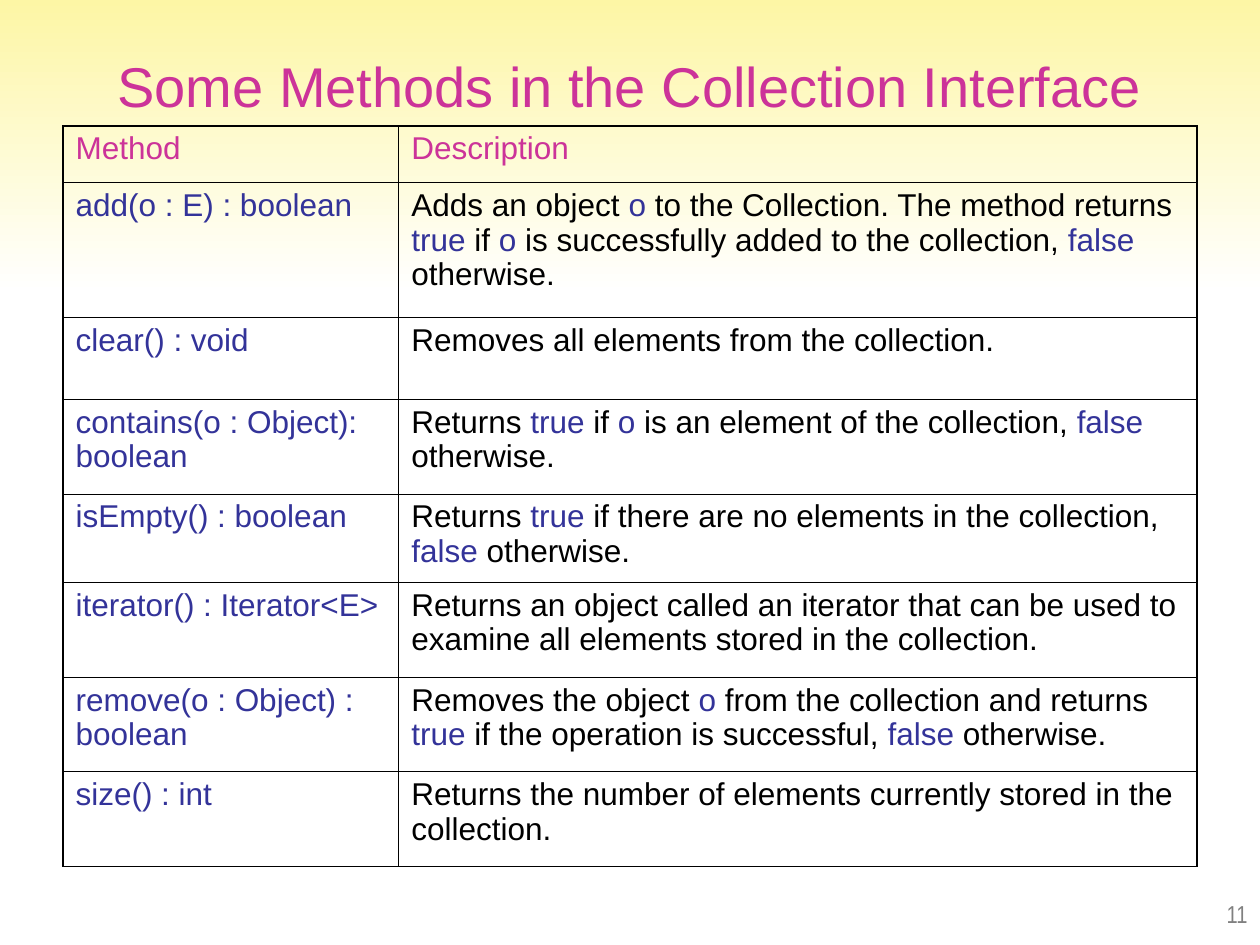
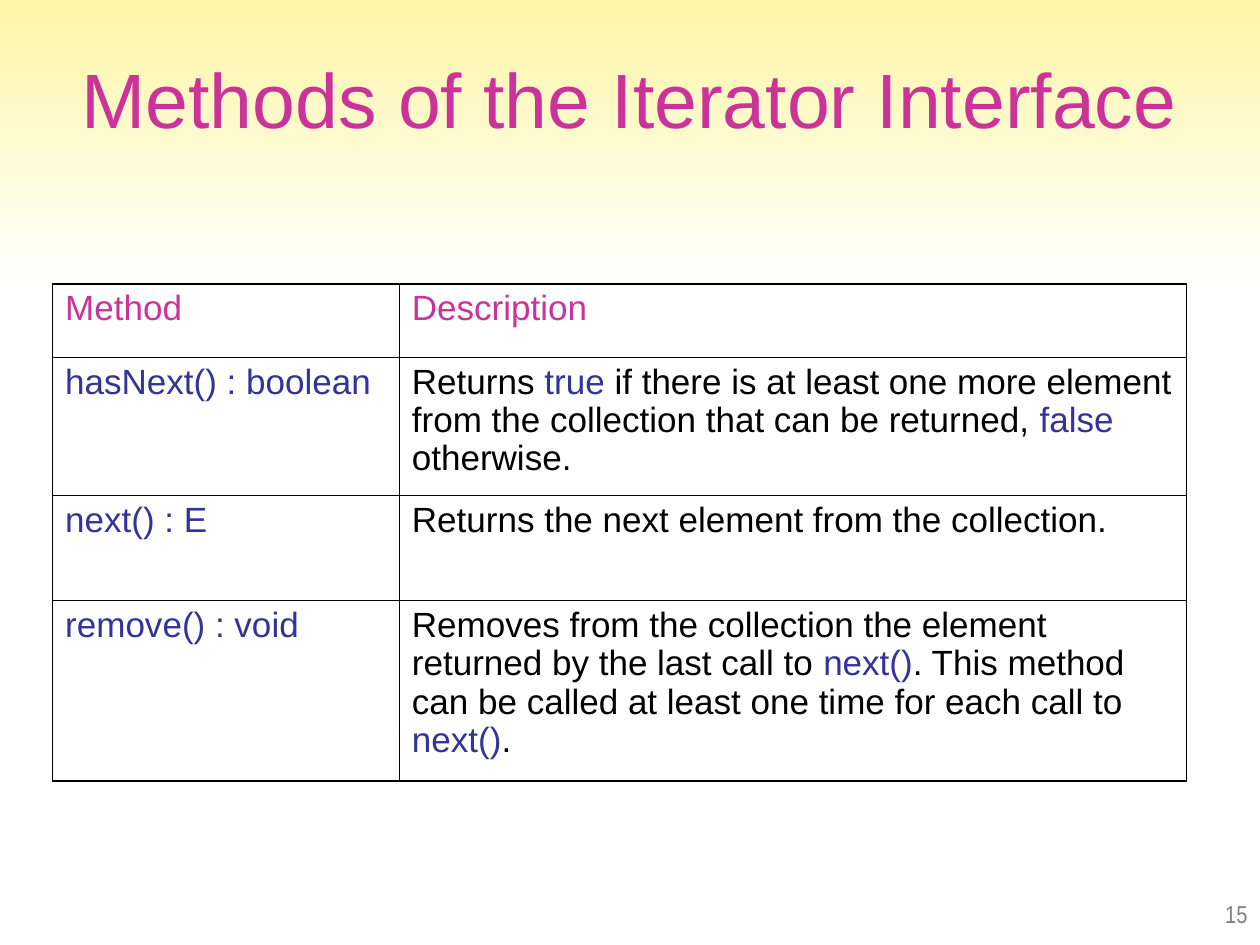
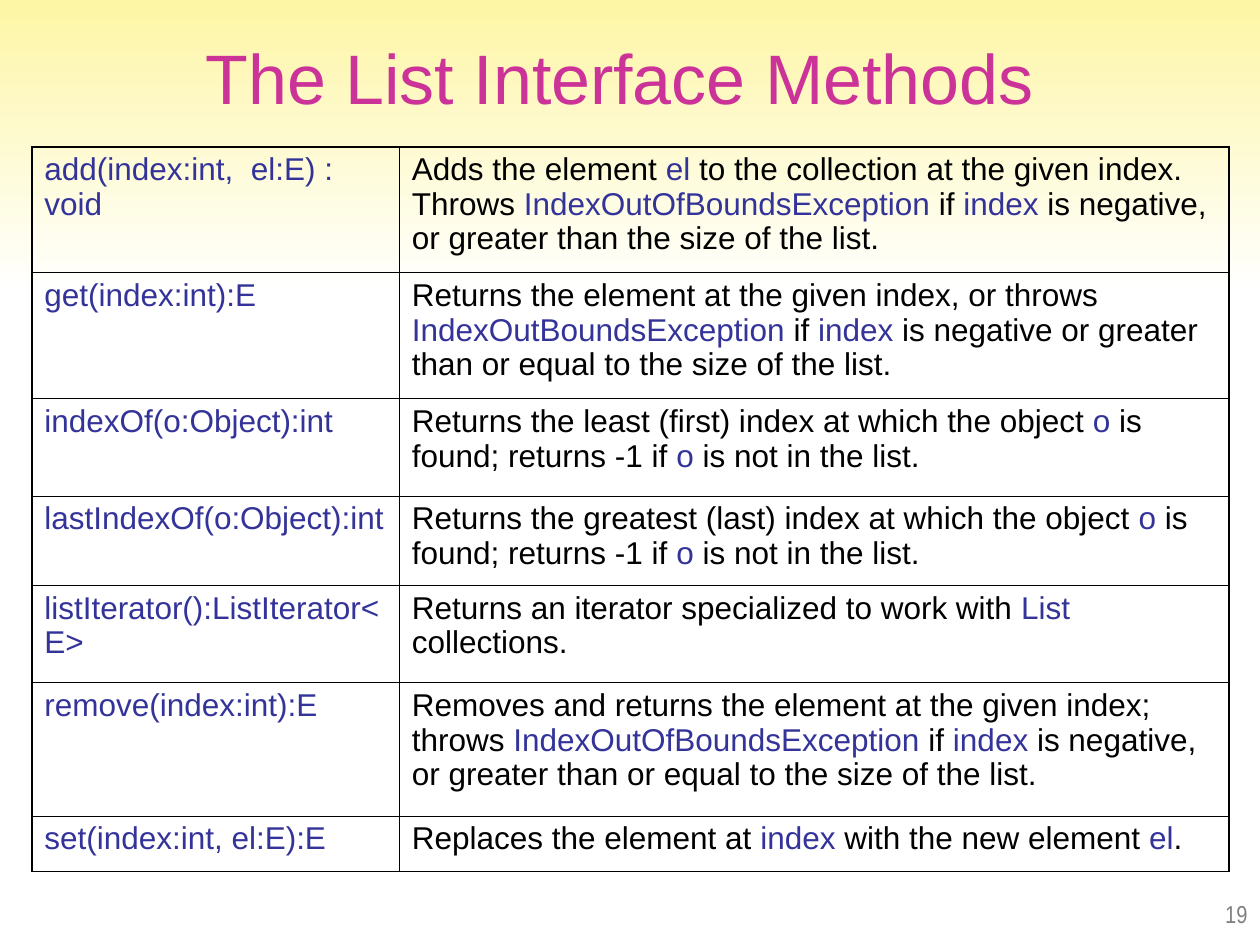
import pptx
import pptx.dml.color
import pptx.enum.shapes
import pptx.enum.text
import pptx.oxml
import pptx.oxml.ns
import pptx.util
import lxml.etree

Cm = pptx.util.Cm
Pt = pptx.util.Pt
RGBColor = pptx.dml.color.RGBColor
ALIGN = pptx.enum.text.PP_ALIGN
ANCHOR = pptx.enum.text.MSO_ANCHOR

PINK = RGBColor(0xCC, 0x33, 0x99)
INDIGO = RGBColor(0x33, 0x33, 0x99)
BLACK = RGBColor(0x00, 0x00, 0x00)
WHITE = RGBColor(0xFF, 0xFF, 0xFF)
YELLOW = RGBColor(0xFD, 0xF6, 0xA5)
GREY = RGBColor(0x80, 0x80, 0x80)

HEADER = ("Method", "Description")

COLLECTION_METHODS = [
    ("add(o : E) : boolean",
     "Adds an object `o` to the Collection. The method returns `true` if `o` is "
     "successfully added to the collection, `false` otherwise."),
    ("clear() : void", "Removes all elements from the collection."),
    ("contains(o : Object): boolean",
     "Returns `true` if `o` is an element of the collection, `false` otherwise."),
    ("isEmpty() : boolean",
     "Returns `true` if there are no elements in the collection, `false` otherwise."),
    ("iterator() : Iterator<E>",
     "Returns an object called an iterator that can be used to examine all "
     "elements stored in the collection."),
    ("remove(o : Object) : boolean",
     "Removes the object `o` from the collection and returns `true` if the "
     "operation is successful, `false` otherwise."),
    ("size() : int",
     "Returns the number of elements currently stored in the collection."),
]

ITERATOR_METHODS = [
    ("hasNext() : boolean",
     "Returns `true` if there is at least one more element from the collection "
     "that can be returned, `false` otherwise."),
    ("next() : E", "Returns the next element from the collection."),
    ("remove() : void",
     "Removes from the collection the element returned by the last call to "
     "`next()`. This method can be called at least one time for each call to `next()`."),
]

LIST_METHODS = [
    ("add(index:int,  el:E) : void",
     "Adds the element `el` to the collection at the given index. Throws "
     "`IndexOutOfBoundsException` if `index` is negative, or greater than the "
     "size of the list."),
    ("get(index:int):E",
     "Returns the element at the given index, or throws `IndexOutBoundsException` "
     "if `index` is negative or greater than or equal to the size of the list."),
    ("indexOf(o:Object):int",
     "Returns the least (first) index at which the object `o` is found; "
     "returns -1 if `o` is not in the list."),
    ("lastIndexOf(o:Object):int",
     "Returns the greatest (last) index at which the object `o` is found; "
     "returns -1 if `o` is not in the list."),
    ("listIterator():ListIterator<E>",
     "Returns an iterator specialized to work with `List` collections."),
    ("remove(index:int):E",
     "Removes and returns the element at the given index; throws "
     "`IndexOutOfBoundsException` if `index` is negative, or greater than or "
     "equal to the size of the list."),
    ("set(index:int, el:E):E",
     "Replaces the element at `index` with the new element `el`."),
]


def apply_format(target, values):
    for name, value in values.items():
        setattr(target, name, value)


class MethodDeck:
    title_font = "Arial"
    number_font = "Arial Narrow"
    inner_line = Pt(0.45)
    outer_line = Pt(1.08)

    def __init__(self):
        self.presentation = pptx.Presentation()
        apply_format(self.presentation,
                     {"slide_width": Cm(25.4), "slide_height": Cm(19.05)})
        self.slide = None

    def add_slide(self, number):
        self.slide = self.presentation.slides.add_slide(self.presentation.slide_layouts[6])
        fill = self.slide.background.fill
        fill.solid()
        fill.fore_color.rgb = WHITE
        self.add_band()
        self.add_text(str(number), (20.12, 17.58, 5.28, 1.27),
                      {"vertical_anchor": ANCHOR.BOTTOM}, ALIGN.RIGHT,
                      {"name": self.number_font, "size": Pt(14)}, GREY)

    def add_band(self):
        band = self.slide.shapes.add_shape(
            pptx.enum.shapes.MSO_SHAPE.RECTANGLE, 0, 0,
            self.presentation.slide_width, Cm(5.92))
        band.shadow.inherit = False
        band.line.fill.background()
        band.fill.gradient()
        band.fill.gradient_angle = 270
        for stop, color, position in zip(band.fill.gradient_stops, (YELLOW, WHITE), (0, 1)):
            stop.color.rgb = color
            stop.position = position

    def add_text(self, text, box, frame_format, alignment, font_format, color):
        shape = self.slide.shapes.add_textbox(*map(Cm, box))
        apply_format(shape.text_frame, {"word_wrap": True, **frame_format})
        paragraph = shape.text_frame.paragraphs[0]
        paragraph.alignment = alignment
        self.add_run(paragraph, text, font_format, color)

    def add_title(self, text, box, size):
        self.add_text(text, box,
                      {"vertical_anchor": ANCHOR.TOP, "margin_top": Cm(0.27)},
                      ALIGN.CENTER, {"name": self.title_font, "size": Pt(size)}, PINK)

    def add_run(self, paragraph, text, font_format, color):
        run = paragraph.add_run()
        run.text = text
        apply_format(run.font, font_format)
        run.font.color.rgb = color

    def add_method_table(self, methods, origin, widths, heights, size, header=None):
        rows = ([header] if header else []) + methods
        table = self.slide.shapes.add_table(
            len(rows), len(widths), *map(Cm, (*origin, sum(widths), sum(heights)))).table
        apply_format(table, {"first_row": False, "horz_banding": False})
        for column, width in zip(table.columns, widths):
            column.width = Cm(width)
        for row, height in zip(table.rows, heights):
            row.height = Cm(height)
        for row_index, texts in enumerate(rows):
            is_header = header is not None and row_index == 0
            for column_index, text in enumerate(texts):
                cell = table.cell(row_index, column_index)
                plain = PINK if is_header else (INDIGO, BLACK)[column_index]
                self.fill_cell(cell, text, size, plain)
                self.add_borders(cell, {
                    "L": column_index == 0,
                    "R": column_index == len(widths) - 1,
                    "T": row_index == 0,
                    "B": row_index == len(rows) - 1})
                cell.fill.background()

    def fill_cell(self, cell, text, size, plain):
        paragraph = cell.text_frame.paragraphs[0]
        paragraph.line_spacing = 0.98
        font_format = {"name": self.title_font, "size": Pt(size)}
        for index, part in enumerate(text.split("`")):
            if part:
                self.add_run(paragraph, part, font_format, INDIGO if index % 2 else plain)

    def add_borders(self, cell, outer_sides):
        properties = cell._tc.get_or_add_tcPr()
        qn = pptx.oxml.ns.qn
        for side, is_outer in outer_sides.items():
            width = self.outer_line if is_outer else self.inner_line
            line = lxml.etree.SubElement(properties, qn(f"a:ln{side}"), w=str(int(width)))
            solid = lxml.etree.SubElement(line, qn("a:solidFill"))
            lxml.etree.SubElement(solid, qn("a:srgbClr"), val=str(BLACK))


def main():
    deck = MethodDeck()

    deck.add_slide(11)
    deck.add_title("Some Methods in the Collection Interface", (1.27, 0.76, 22.86, 1.98), 32)
    deck.add_method_table(COLLECTION_METHODS, (1.27, 2.54), (6.77, 16.09),
                          (1.14, 2.72, 1.65, 1.91, 1.78, 1.91, 1.91, 1.91), 18, HEADER)

    deck.add_slide(15)
    deck.add_title("Methods of the Iterator Interface", (1.27, 0.76, 22.86, 2.62), 44)
    deck.add_method_table(ITERATOR_METHODS, (1.06, 5.72), (6.99, 15.87),
                          (1.48, 2.79, 2.12, 3.63), 20, HEADER)

    deck.add_slide(19)
    deck.add_title("The List Interface Methods", (1.06, 0.42, 22.86, 1.57), 40)
    deck.add_method_table(LIST_METHODS, (0.64, 2.96), (7.41, 16.72),
                          (2.54, 2.54, 1.96, 1.8, 1.96, 2.69, 1.12), 18)

    deck.presentation.save("out.pptx")


if __name__ == "__main__":
    main()
